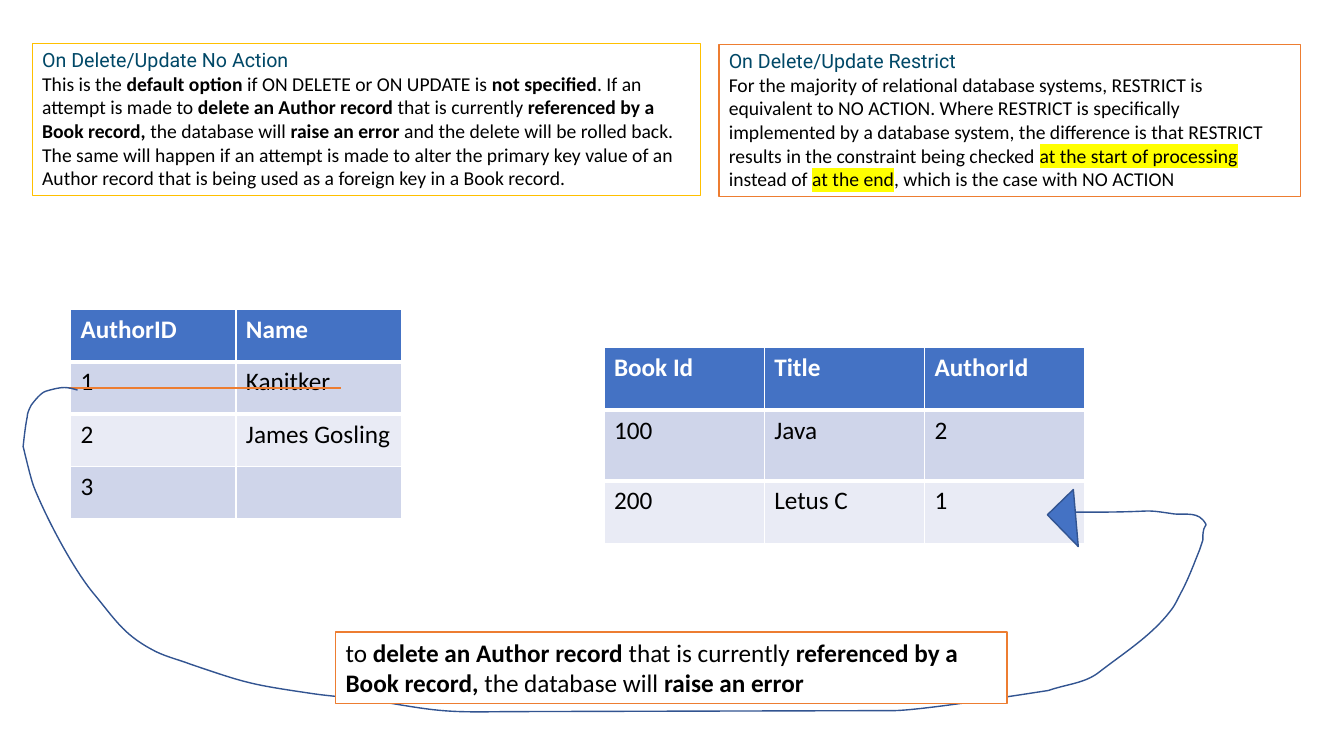
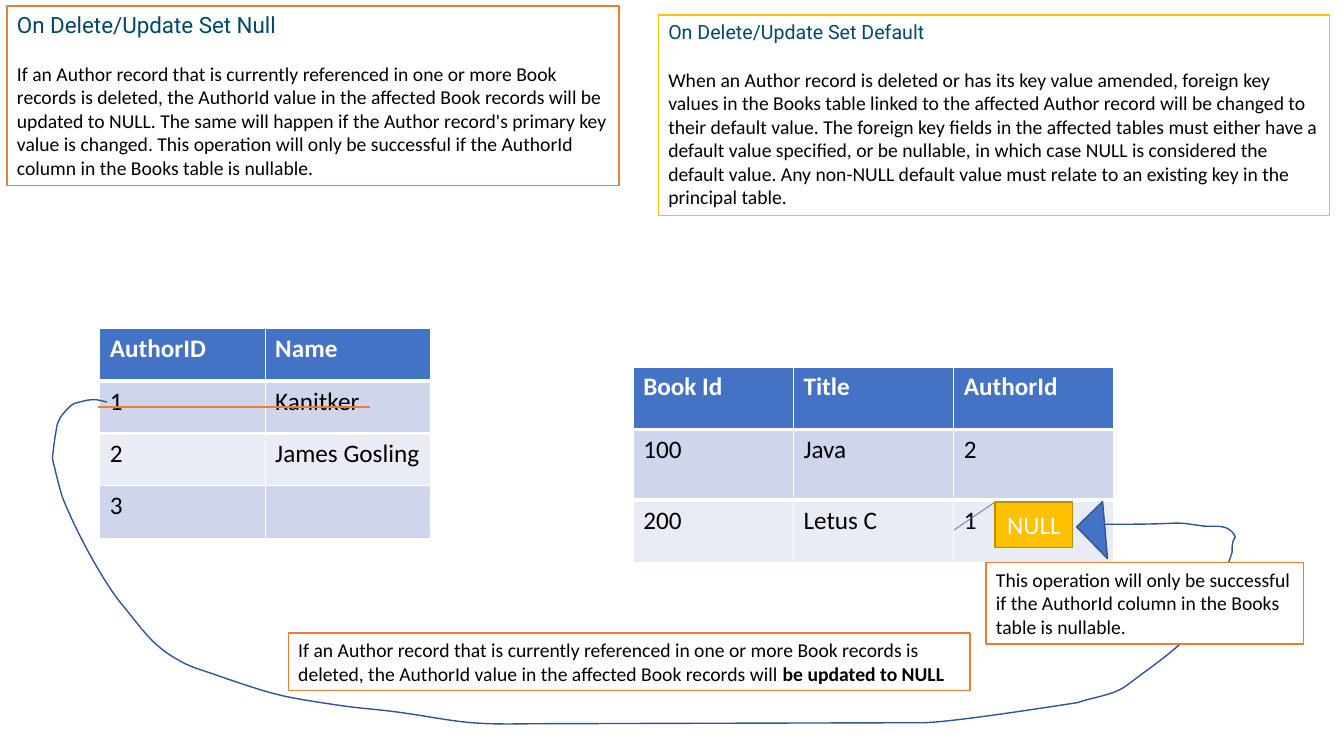
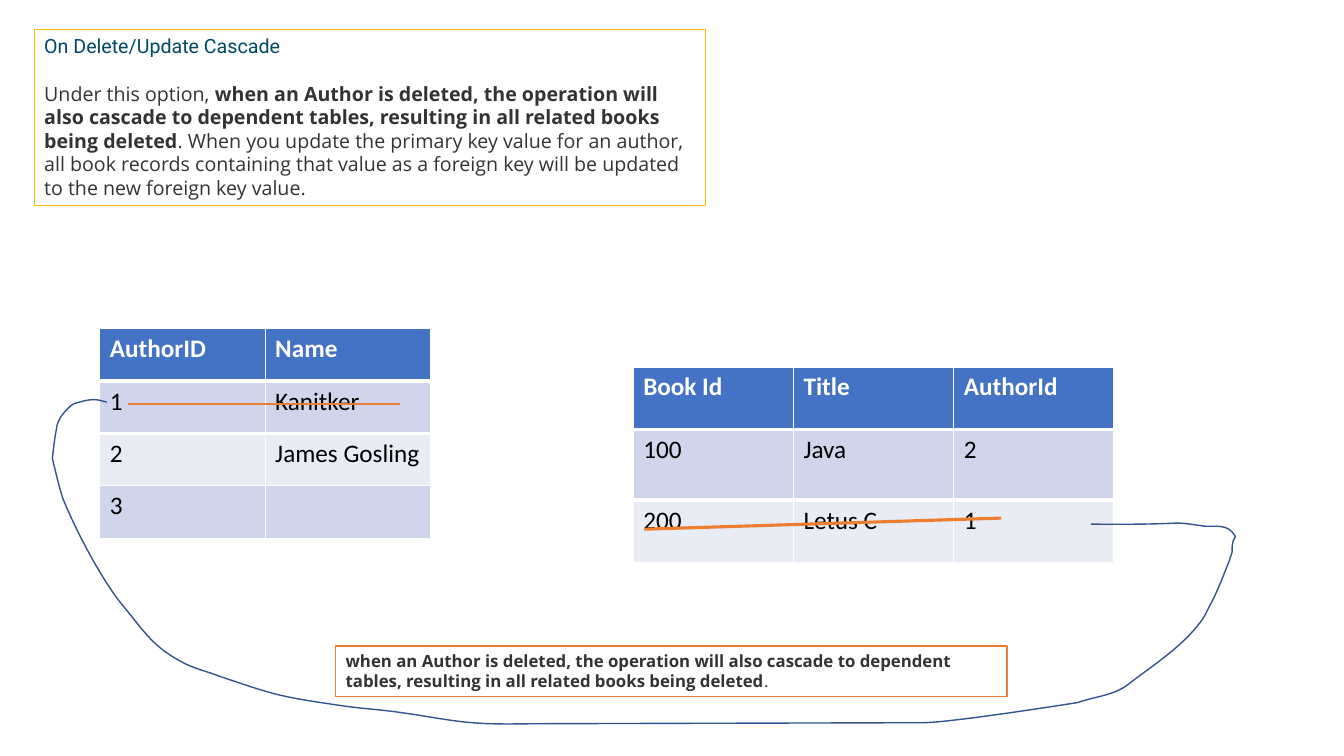
from lxml import etree
from pptx import Presentation
from pptx.dml.color import RGBColor
from pptx.enum.shapes import MSO_CONNECTOR, MSO_SHAPE
from pptx.enum.text import MSO_ANCHOR, MSO_AUTO_SIZE, PP_ALIGN
from pptx.oxml.ns import qn
from pptx.util import Pt

PX = 9144
STRAIGHT = MSO_CONNECTOR.STRAIGHT
RECTANGLE = MSO_SHAPE.RECTANGLE
RIGHT_TRIANGLE = MSO_SHAPE.RIGHT_TRIANGLE
GROW = MSO_AUTO_SIZE.SHAPE_TO_FIT_TEXT
MIDDLE = MSO_ANCHOR.MIDDLE
CENTER = PP_ALIGN.CENTER

WHITE, BLACK, GREY, TEAL = "FFFFFF", "000000", "333333", "004867"
BLUE, NAVY, ORANGE, GOLD, DARK_GOLD = "4472C4", "325491", "ED7D31", "FFC000", "BD8E00"
YELLOW = "FFFF00"
BANDS = ["CFD5EA", "E9EBF5"]
CALIBRI, OPEN_SANS, ROBOTO = "Calibri", "Open Sans", "Roboto"

AUTHORS = [["AuthorID", "Name"], ["1", "Kanitker"], ["2", "James Gosling"], ["3", ""]]
BOOKS = [["Book Id", "Title", "AuthorId"], ["100", "Java", "2"], ["200", "Letus C", "1"]]
TABLES = [
    (99, 326, 164, [52, 52, 52, 52], AUTHORS),
    (628, 364, 159, [62, 70, 62], BOOKS),
]
HEADER_RULES = {0: "a:lnB", 1: "a:lnT"}

LOOP_START = (106, 399)
LOOP_CURVES = [
    [(95, 396), (92, 395), (75, 400)],
    [(70, 401), (63, 410), (60, 414)],
    [(58, 418), (56, 422), (56, 426)],
    [(54, 435), (52, 455), (52, 455)],
    [(54, 463), (60, 489), (63, 496)],
    [(76, 528), (102, 577), (122, 601)],
    [(142, 625), (151, 641), (179, 656)],
    [(191, 663), (205, 666), (218, 671)],
    [(274, 690), (277, 691), (338, 700)],
    [(358, 703), (378, 704), (398, 707)],
    [(421, 710), (444, 715), (468, 717)],
    [(492, 719), (516, 718), (540, 718)],
    [(540, 718), (915, 717), (915, 717)],
    [(940, 717), (1037, 702), (1069, 697)],
    [(1086, 691), (1105, 690), (1119, 679)],
    [(1142, 661), (1171, 643), (1190, 618)],
    [(1195, 612), (1198, 604), (1202, 597)],
    [(1209, 583), (1213, 572), (1219, 557)],
    [(1220, 554), (1221, 551), (1222, 548)],
    [(1222, 544), (1222, 541), (1223, 537)],
    [(1223, 535), (1226, 533), (1225, 532)],
    [(1218, 519), (1206, 523), (1194, 522)],
    [(1153, 516), (1190, 521), (1082, 520)],
]

NO_ACTION = [
    ("This is the ", ""), ("default option ", "bold"),
    ("if ON DELETE or ON UPDATE is ", ""), ("not specified", "bold"),
    (". If an attempt is made to ", ""), ("delete an Author record ", "bold"),
    ("that is currently ", ""), ("referenced by a Book record, ", "bold"),
    ("the database will ", ""), ("raise an error ", "bold"),
    ("and the delete will be rolled back. The same will happen if an attempt is made to alter "
     "the primary key value of an Author record that is being used as a foreign key in a Book "
     "record.", ""),
]
RESTRICT = [
    ("For the majority of relational database systems, RESTRICT is equivalent to NO ACTION. "
     "Where RESTRICT is specifically implemented by a database system, the difference is that "
     "RESTRICT results in the constraint being checked ", ""),
    ("at the start of processing ", "marked"), ("instead of ", ""),
    ("at the end", "marked"), (", which is the case with NO ACTION", ""),
]
RAISE_ERROR = [
    ("to ", ""), ("delete an Author record ", "bold"), ("that is currently ", ""),
    ("referenced by a Book record, ", "bold"), ("the database will ", ""),
    ("raise an error", "bold"),
]
SET_NULL = [
    ("If an Author record that is currently referenced in one or more Book records is deleted, "
     "the AuthorId value in the affected Book records will be updated to NULL. The same will "
     "happen if the Author record's primary key value is changed. This operation will only be "
     "successful if the AuthorId column in the Books table is nullable.", ""),
]
SET_DEFAULT = [
    ("When an Author record is deleted or has its key value amended, foreign key values in the "
     "Books table linked to the affected Author record will be changed to their default value. "
     "The foreign key fields in the affected tables must either have a default value specified, "
     "or be nullable, in which case NULL is considered the default value. Any non-NULL default "
     "value must relate to an existing key in the principal table.", ""),
]
UPDATED_TO_NULL = [
    ("If an Author record that is currently referenced in one or more Book records is deleted, "
     "the AuthorId value in the affected Book records will ", ""),
    ("be updated to NULL", "bold"),
]
NULLABLE = [
    ("This operation will only be successful if the AuthorId column in the Books table is "
     "nullable.", ""),
]
CASCADE_RULE = (
    "when an Author is deleted, the operation will also cascade to dependent tables, resulting "
    "in all related books being deleted", "bold")
CASCADE = [
    ("Under this option, ", ""),
    CASCADE_RULE,
    (". When you update the primary key value for an author, all book records containing that "
     "value as a foreign key will be updated to the new foreign key value.", ""),
]
BOOKS_DELETED = [CASCADE_RULE, (".", "")]

SLIDES = [
    {
        "shift": (-29, -19),
        "loop_shift": (-29, -12),
        "triangle": (1045, 496),
        "lines": [(68, 385, 338, 385, ORANGE, 1.5)],
        "boxes": [
            (713, 44, 577, 151, ORANGE, ("On Delete/Update Restrict", 14, 0),
             RESTRICT, 14, CALIBRI, BLACK),
            (32, 43, 663, 151, GOLD, ("On Delete/Update No Action", 14, 0),
             NO_ACTION, 14, CALIBRI, BLACK),
            (333, 627, 666, 71, ORANGE, None, RAISE_ERROR, 18, CALIBRI, BLACK),
        ],
    },
    {
        "shift": (0, 0),
        "loop_shift": (0, 0),
        "triangle": (1074, 508),
        "lines": [(97, 404, 367, 404, ORANGE, 1.5), (987, 498, 946, 526, BLUE, 0.5)],
        "boxes": [
            (7, 6, 607, 178, ORANGE, ("On Delete/Update Set Null", 16, 17),
             SET_NULL, 14, CALIBRI, BLACK),
            (286, 628, 676, 57, ORANGE, None, UPDATED_TO_NULL, 14, CALIBRI, BLACK),
            (978, 558, 315, 81, ORANGE, None, NULLABLE, 14, CALIBRI, BLACK),
            (653, 15, 666, 199, GOLD, ("On Delete/Update Set Default", 14, 17),
             SET_DEFAULT, 14, CALIBRI, BLACK),
        ],
    },
    {
        "shift": (0, 0),
        "loop_shift": (0, 0),
        "triangle": None,
        "lines": [(127, 401, 397, 401, ORANGE, 1.5), (639, 525, 993, 514, ORANGE, 2.25)],
        "boxes": [
            (34, 29, 666, 175, GOLD, ("On Delete/Update Cascade", 14, 17),
             CASCADE, 14, OPEN_SANS, GREY),
            (333, 641, 666, 50, ORANGE, None, BOOKS_DELETED, 12, OPEN_SANS, GREY),
        ],
    },
]


def rgb(value):
    return RGBColor.from_string(value)


def add_run(paragraph, text, size, font, color, style=""):
    run = paragraph.add_run()
    run.text = text
    run.font.size = Pt(size)
    run.font.bold = style == "bold"
    run.font.color.rgb = rgb(color)
    run.font.name = font
    if style == "marked":
        highlight = etree.Element(qn("a:highlight"))
        etree.SubElement(highlight, qn("a:srgbClr"), val=YELLOW)
        run.font._element.find(qn("a:latin")).addprevious(highlight)


presentation = Presentation()
presentation.slide_width = 1333 * PX
presentation.slide_height = 750 * PX
blank_layout = presentation.slide_layouts[6]

for content in SLIDES:
    slide = presentation.slides.add_slide(blank_layout)
    shapes = slide.shapes

    shift_x, shift_y = content["shift"]
    for left, top, column_width, row_heights, rows in TABLES:
        column_count = len(rows[0])
        table = shapes.add_table(
            len(rows), column_count, (left + shift_x) * PX, (top + shift_y) * PX,
            column_width * column_count * PX, sum(row_heights) * PX).table
        for column in table.columns:
            column.width = column_width * PX
        for row_index, row in enumerate(rows):
            table.rows[row_index].height = row_heights[row_index] * PX
            header = row_index == 0
            for column_index, text in enumerate(row):
                cell = table.cell(row_index, column_index)
                cell.fill.solid()
                cell.fill.fore_color.rgb = rgb(BLUE if header else BANDS[(row_index - 1) % 2])
                if row_index in HEADER_RULES:
                    rule = etree.Element(qn(HEADER_RULES[row_index]), w=str(Pt(3)))
                    rule_fill = etree.SubElement(rule, qn("a:solidFill"))
                    etree.SubElement(rule_fill, qn("a:srgbClr"), val=WHITE)
                    cell._tc.tcPr.insert(0, rule)
                if text:
                    add_run(cell.text_frame.paragraphs[0], text, 18, CALIBRI,
                            WHITE if header else BLACK, "bold" if header else "")

    for start_x, start_y, end_x, end_y, color, width in content["lines"]:
        connector = shapes.add_connector(
            STRAIGHT, start_x * PX, start_y * PX, end_x * PX, end_y * PX)
        connector.line.color.rgb = rgb(color)
        connector.line.width = Pt(width)
        etree.SubElement(connector._element.spPr, qn("a:effectLst"))

    shift_x, shift_y = content["loop_shift"]
    builder = shapes.build_freeform(
        (LOOP_START[0] + shift_x) * PX, (LOOP_START[1] + shift_y) * PX)
    builder.add_line_segments(
        [((x + shift_x) * PX, (y + shift_y) * PX) for curve in LOOP_CURVES for x, y in curve],
        close=False)
    loop = builder.convert_to_shape()
    segments = list(loop._element.iter(qn("a:lnTo")))
    for index in range(0, len(segments), 3):
        curve = etree.Element(qn("a:cubicBezTo"))
        segments[index].addprevious(curve)
        for segment in segments[index:index + 3]:
            curve.append(segment[0])
            segment.getparent().remove(segment)
    loop.shadow.inherit = False
    loop.fill.background()
    loop.line.color.rgb = rgb(NAVY)
    loop.line.width = Pt(1)

    if content["triangle"]:
        left, top = content["triangle"]
        triangle = shapes.add_shape(RIGHT_TRIANGLE, left * PX, top * PX, 44 * PX, 36 * PX)
        triangle.rotation = 45.8
        triangle.shadow.inherit = False
        triangle.fill.solid()
        triangle.fill.fore_color.rgb = rgb(BLUE)
        triangle.line.color.rgb = rgb(NAVY)
        triangle.line.width = Pt(1)

    for left, top, width, height, border, heading, body, size, font, color in content["boxes"]:
        box = shapes.add_textbox(left * PX, top * PX, width * PX, height * PX)
        box.fill.solid()
        box.fill.fore_color.rgb = rgb(WHITE)
        box.line.color.rgb = rgb(border)
        box.line.width = Pt(1)
        frame = box.text_frame
        frame.word_wrap = True
        frame.auto_size = GROW
        paragraph = frame.paragraphs[0]
        if heading:
            title, title_size, gap = heading
            add_run(paragraph, title, title_size, ROBOTO, TEAL)
            paragraph.space_after = Pt(gap)
            paragraph = frame.add_paragraph()
        for text, style in body:
            add_run(paragraph, text, size, font, color, style)

null_label = presentation.slides[1].shapes.add_shape(
    RECTANGLE, 987 * PX, 498 * PX, 77 * PX, 45 * PX)
null_label.shadow.inherit = False
null_label.fill.solid()
null_label.fill.fore_color.rgb = rgb(GOLD)
null_label.line.color.rgb = rgb(DARK_GOLD)
null_label.line.width = Pt(1)
null_label.text_frame.word_wrap = True
null_label.text_frame.vertical_anchor = MIDDLE
paragraph = null_label.text_frame.paragraphs[0]
paragraph.alignment = CENTER
add_run(paragraph, "NULL", 18, CALIBRI, WHITE)

presentation.save("out.pptx")
